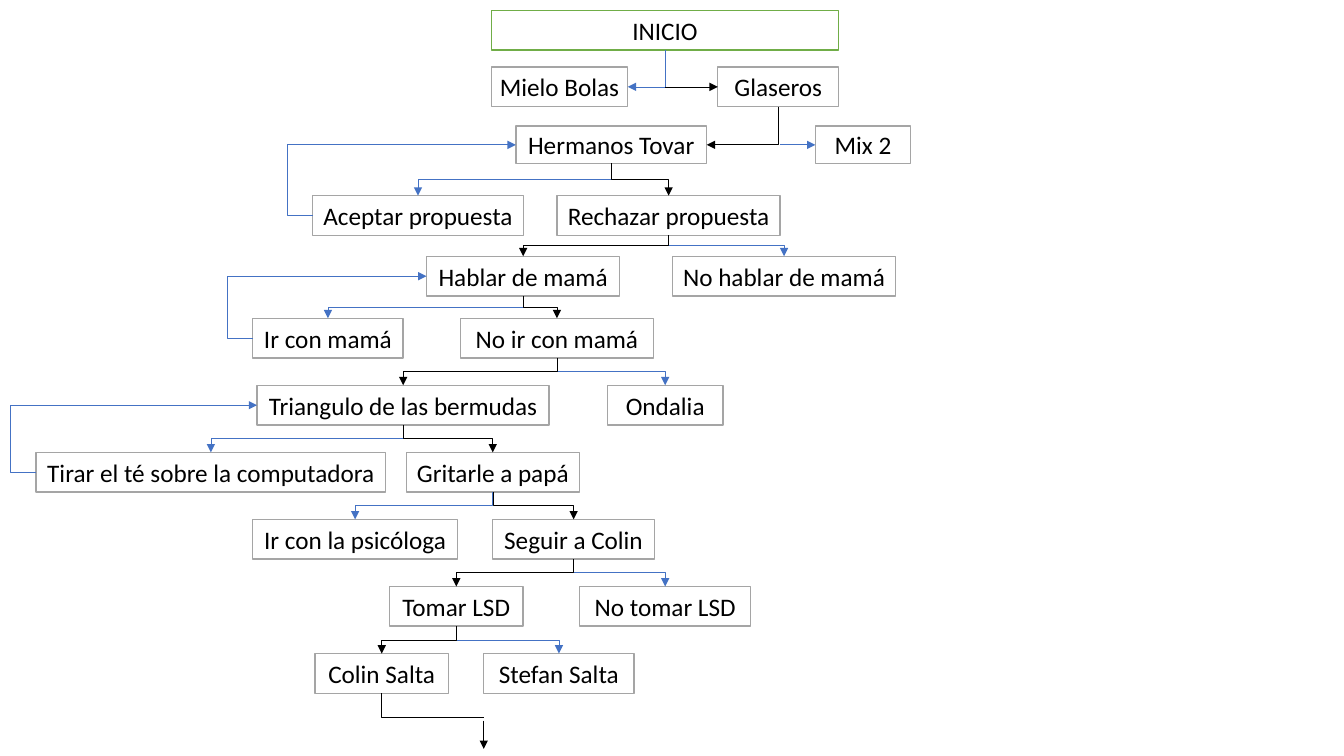
from pptx import Presentation
from pptx.dml.color import RGBColor
from pptx.enum.shapes import MSO_CONNECTOR, MSO_SHAPE
from pptx.enum.text import MSO_ANCHOR, PP_ALIGN
from pptx.oxml.ns import qn
from pptx.oxml.xmlchemy import OxmlElement
from pptx.util import Cm, Pt

RECTANGLE = MSO_SHAPE.RECTANGLE
ELBOW = MSO_CONNECTOR.ELBOW
STRAIGHT = MSO_CONNECTOR.STRAIGHT
MIDDLE = MSO_ANCHOR.MIDDLE
CENTER = PP_ALIGN.CENTER

WHITE = RGBColor(0xFF, 0xFF, 0xFF)
BLACK = RGBColor(0, 0, 0)
GREEN = RGBColor(0x70, 0xAD, 0x47)
GRAY = RGBColor(0xA5, 0xA5, 0xA5)
BLUE = RGBColor(0x44, 0x72, 0xC4)

TOP, LEFT, BOTTOM, RIGHT = range(4)
BOX_HEIGHT = 1.0
LOOP_REACH = Cm(0.64)
ROW_TOPS = [0.26, 1.69, 3.18, 4.93, 6.46] + [8.02 + 1.69 * step for step in range(6)]

STEPS = [
    (0, 12.38, 8.76, "INICIO"),
    (1, 12.38, 3.44, "Mielo Bolas"),
    (1, 18.09, 3.05, "Glaseros"),
    (2, 13.0, 4.81, "Hermanos Tovar"),
    (2, 20.55, 2.4, "Mix 2"),
    (3, 7.88, 5.31, "Aceptar propuesta"),
    (3, 14.04, 5.62, "Rechazar propuesta"),
    (4, 10.75, 4.87, "Hablar de mamá"),
    (4, 16.95, 5.62, "No hablar de mamá"),
    (5, 6.37, 3.79, "Ir con mamá"),
    (5, 11.6, 4.87, "No ir con mamá"),
    (6, 6.48, 7.36, "Triangulo de las bermudas"),
    (6, 15.31, 2.91, "Ondalia"),
    (7, 0.91, 8.81, "Tirar el té sobre la computadora"),
    (7, 10.24, 4.36, "Gritarle a papá"),
    (8, 6.37, 5.16, "Ir con la psicóloga"),
    (8, 12.42, 4.07, "Seguir a Colin"),
    (9, 9.82, 3.36, "Tomar LSD"),
    (9, 14.61, 4.31, "No tomar LSD"),
    (10, 7.94, 3.36, "Colin Salta"),
    (10, 12.19, 3.79, "Stefan Salta"),
]

BRANCHES = [
    ("Hermanos Tovar", "Rechazar propuesta", "Aceptar propuesta"),
    ("Rechazar propuesta", "Hablar de mamá", "No hablar de mamá"),
    ("Hablar de mamá", "No ir con mamá", "Ir con mamá"),
    ("No ir con mamá", "Triangulo de las bermudas", "Ondalia"),
    ("Triangulo de las bermudas", "Gritarle a papá", "Tirar el té sobre la computadora"),
    ("Gritarle a papá", "Seguir a Colin", "Ir con la psicóloga"),
    ("Seguir a Colin", "Tomar LSD", "No tomar LSD"),
    ("Tomar LSD", "Colin Salta", "Stefan Salta"),
]

LOOPS = [
    ("Aceptar propuesta", "Hermanos Tovar"),
    ("Ir con mamá", "Hablar de mamá"),
    ("Tirar el té sobre la computadora", "Triangulo de las bermudas"),
]


def add_step(slide, row, left, width, label):
    """Add one framed step of the story and return it."""
    step = slide.shapes.add_shape(
        RECTANGLE, Cm(left), Cm(ROW_TOPS[row]), Cm(width), Cm(BOX_HEIGHT if row != 2 else 0.94))
    step.shadow.inherit = False
    step.fill.solid()
    step.fill.fore_color.rgb = WHITE
    step.line.color.rgb = GRAY if row else GREEN
    step.line.width = Pt(1)
    frame = step.text_frame
    frame.word_wrap = False
    frame.vertical_anchor = MIDDLE
    paragraph = frame.paragraphs[0]
    paragraph.text = label
    paragraph.alignment = CENTER
    paragraph.font.name = "Calibri"
    paragraph.font.size = Pt(18)
    paragraph.font.color.rgb = BLACK
    return step


def site_point(step, site):
    """Return the point at the middle of one side of a step."""
    x = {LEFT: step.left, RIGHT: step.left + step.width}.get(site, step.left + step.width // 2)
    y = {TOP: step.top, BOTTOM: step.top + step.height}.get(site, step.top + step.height // 2)
    return x, y


def add_line(slide, kind, start, end, color, arrow=True):
    """Add a thin connector, with an arrowhead at its end if wanted."""
    link = slide.shapes.add_connector(kind, *start, *end)
    link.line.color.rgb = color
    link.line.width = Pt(0.5)
    if arrow:
        head = OxmlElement("a:tailEnd")
        head.set("type", "triangle")
        link.element.spPr.find(qn("a:ln")).append(head)
    link.element.spPr.append(OxmlElement("a:effectLst"))
    return link


def orient(link, start, end, rotation, flip):
    """Place a connector between two points after turning its frame."""
    width, height = abs(end[0] - start[0]), abs(end[1] - start[1])
    if rotation != 180:
        width, height = height, width
    link.left = (start[0] + end[0] - width) // 2
    link.top = (start[1] + end[1] - height) // 2
    link.width, link.height = width, height
    frame = link.element.spPr.find(qn("a:xfrm"))
    frame.attrib.clear()
    frame.set("rot", str(rotation * 60000))
    if flip:
        frame.set("flipH", "1")


def glue(link, source, source_site, target, target_site):
    """Attach both ends of a connector to steps."""
    link.begin_connect(source, source_site)
    link.end_connect(target, target_site)


def make_single_bend(link):
    """Give an elbow connector a single corner."""
    link.element.spPr.find(qn("a:prstGeom")).set("prst", "bentConnector2")


def orient_down(link, start, end):
    """Make an elbow connector leave its start downwards."""
    rightwards = end[0] > start[0]
    orient(link, start, end, 270 if rightwards else 90, rightwards)


def add_drop(slide, source, target, target_site, color):
    """Add an elbow arrow from below one step to a side of another."""
    start, end = site_point(source, BOTTOM), site_point(target, target_site)
    link = add_line(slide, ELBOW, start, end, color)
    glue(link, source, BOTTOM, target, target_site)
    if target_site != TOP:
        make_single_bend(link)
    orient_down(link, start, end)


def add_loop(slide, source, target):
    """Add an arrow that returns on the left to an earlier step."""
    start, end = site_point(source, LEFT), site_point(target, LEFT)
    link = add_line(slide, ELBOW, start, end, BLUE)
    glue(link, source, LEFT, target, LEFT)
    orient(link, start, end, 180, True)
    bend = OxmlElement("a:gd")
    bend.set("name", "adj1")
    bend.set("fmla", f"val {-round(100000 * LOOP_REACH / (end[0] - start[0]))}")
    link.element.spPr.find(qn("a:prstGeom")).get_or_add_avLst().append(bend)


def add_ending(slide, last_step):
    """Add the path that leaves the bottom of the slide."""
    start, corner = site_point(last_step, BOTTOM), (Cm(12.19), Cm(18.08))
    link = add_line(slide, ELBOW, start, corner, BLACK, arrow=False)
    link.begin_connect(last_step, BOTTOM)
    make_single_bend(link)
    orient_down(link, start, corner)
    add_line(slide, STRAIGHT, (corner[0], Cm(18.16)), (corner[0], Cm(18.87)), BLACK)


def main():
    """Build the decision tree slide."""
    deck = Presentation()
    deck.slide_width, deck.slide_height = Cm(33.87), Cm(19.05)
    slide = deck.slides.add_slide(deck.slide_layouts[6])
    steps = {entry[-1]: add_step(slide, *entry) for entry in STEPS}

    cereal = steps["Glaseros"]
    add_drop(slide, steps["INICIO"], steps["Mielo Bolas"], RIGHT, BLUE)
    cereal_side = site_point(cereal, LEFT)
    fork = (site_point(steps["INICIO"], BOTTOM)[0], cereal_side[1])
    add_line(slide, STRAIGHT, fork, cereal_side, BLACK)
    add_drop(slide, cereal, steps["Hermanos Tovar"], RIGHT, BLACK)
    record_side = site_point(steps["Mix 2"], LEFT)
    add_line(slide, STRAIGHT, (Cm(19.66), record_side[1]), record_side, BLUE)

    for source, onward, aside in BRANCHES:
        add_drop(slide, steps[source], steps[aside], TOP, BLUE)
        add_drop(slide, steps[source], steps[onward], TOP, BLACK)
    for source, target in LOOPS:
        add_loop(slide, steps[source], steps[target])
    add_ending(slide, steps["Colin Salta"])
    deck.save("out.pptx")


main()
